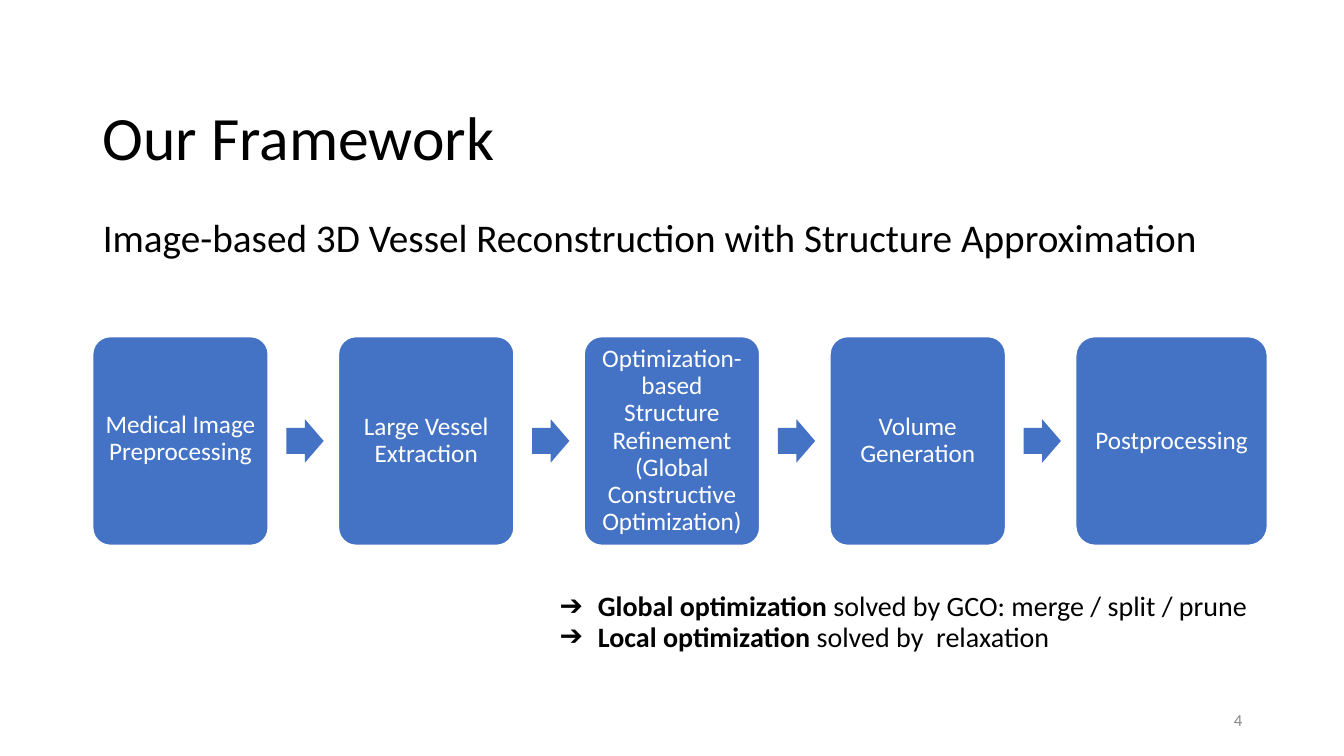
import pptx
import pptx.util
import pptx.dml.color
import pptx.enum.shapes
import pptx.enum.text
import pptx.oxml.ns
import lxml.etree

Inches = pptx.util.Inches
Pt = pptx.util.Pt
ALIGN = pptx.enum.text.PP_ALIGN
ANCHOR = pptx.enum.text.MSO_ANCHOR
SHAPE = pptx.enum.shapes.MSO_SHAPE

COLORS = {"text": "000000", "box": "4472C4", "white": "FFFFFF", "number": "888888"}


def rgb(name):
    return pptx.dml.color.RGBColor.from_string(COLORS[name])


def write(paragraph, parts, size, color, align=ALIGN.LEFT, bullet=None):
    """Fill a paragraph with (text, bold) runs, with or without a bullet."""
    properties = paragraph._p.get_or_add_pPr()
    properties.set("marL", str(Inches(0.5) if bullet else 0))
    properties.set("indent", str(Inches(-0.38) if bullet else 0))
    tag = pptx.oxml.ns.qn("a:buChar" if bullet else "a:buNone")
    mark = lxml.etree.SubElement(properties, tag)
    if bullet:
        mark.set("char", bullet)
    paragraph.alignment = align
    paragraph.line_spacing = 0.9
    paragraph.space_before = Pt(0)
    for text, bold in parts:
        run = paragraph.add_run()
        run.text = text
        run.font.name = "Calibri"
        run.font.size = Pt(size)
        run.font.bold = bold
        run.font.color.rgb = rgb(color)


presentation = pptx.Presentation()
presentation.slide_width = Inches(13.33)
presentation.slide_height = Inches(7.5)
slide = presentation.slides.add_slide(presentation.slide_layouts[3])

# Title, subtitle and notes on the optimization step
title, subtitle, optimization = slide.placeholders
placeholder_places = [
    (title, 0.92, 0.67, 11.5, 1.45, ANCHOR.MIDDLE),
    (subtitle, 0.92, 2.12, 11.5, 1.0, ANCHOR.TOP),
    (optimization, 5.33, 5.83, 7.36, 0.98, ANCHOR.TOP),
]
for shape, left, top, width, height, anchor in placeholder_places:
    shape.left, shape.top = Inches(left), Inches(top)
    shape.width, shape.height = Inches(width), Inches(height)
    shape.text_frame.vertical_anchor = anchor
    shape.text_frame.auto_size = pptx.enum.text.MSO_AUTO_SIZE.NONE

write(title.text_frame.paragraphs[0], [("Our Framework", False)], 44, "text")
write(
    subtitle.text_frame.paragraphs[0],
    [("Image-based 3D Vessel Reconstruction with Structure Approximation", False)],
    28, "text",
)
optimization_notes = [
    ("Global optimization ", "solved by GCO: merge / split / prune"),
    ("Local optimization ", "solved by  relaxation"),
]
for index, (term, method) in enumerate(optimization_notes):
    frame = optimization.text_frame
    paragraph = frame.add_paragraph() if index else frame.paragraphs[0]
    write(paragraph, [(term, True), (method, False)], 20, "text", bullet="➔")

# Pipeline of steps joined by block arrows
steps = [
    "Medical Image Preprocessing",
    "Large Vessel Extraction",
    "Optimization-based Structure Refinement (Global Constructive Optimization)",
    "Volume Generation",
    "Postprocessing",
]
pitch = 9.75 / 4
for index, step in enumerate(steps):
    is_last = index == len(steps) - 1
    left = 0.92 + index * pitch
    box = slide.shapes.add_shape(
        SHAPE.ROUNDED_RECTANGLE,
        Inches(left), Inches(3.34), Inches(1.9 if is_last else 1.74), Inches(2.07),
    )
    box.adjustments[0] = 0.1
    box.shadow.inherit = False
    box.fill.solid()
    box.fill.fore_color.rgb = rgb("box")
    box.line.color.rgb = rgb("white")
    box.line.width = Pt(1)
    frame = box.text_frame
    frame.word_wrap = True
    frame.vertical_anchor = ANCHOR.MIDDLE
    frame.margin_left = frame.margin_right = frame.margin_top = Inches(0.07)
    frame.margin_bottom = Inches(0.07 if index else 0.12)
    write(frame.paragraphs[0], [(step, False)], 18, "white", ALIGN.CENTER)

    if not is_last:
        arrow = slide.shapes.add_shape(
            SHAPE.RIGHT_ARROW,
            Inches(left + 1.92), Inches(4.16), Inches(0.37), Inches(0.43),
        )
        arrow.adjustments[0] = 0.6
        arrow.adjustments[1] = 0.5
        arrow.shadow.inherit = False
        arrow.fill.solid()
        arrow.fill.fore_color.rgb = rgb("box")
        arrow.line.fill.background()

# Slide number
number = slide.shapes.add_textbox(Inches(9.42), Inches(6.95), Inches(3), Inches(0.4))
number.text_frame.word_wrap = True
number.text_frame.vertical_anchor = ANCHOR.MIDDLE
write(number.text_frame.paragraphs[0], [("4", False)], 12, "number", ALIGN.RIGHT)

presentation.save("out.pptx")
